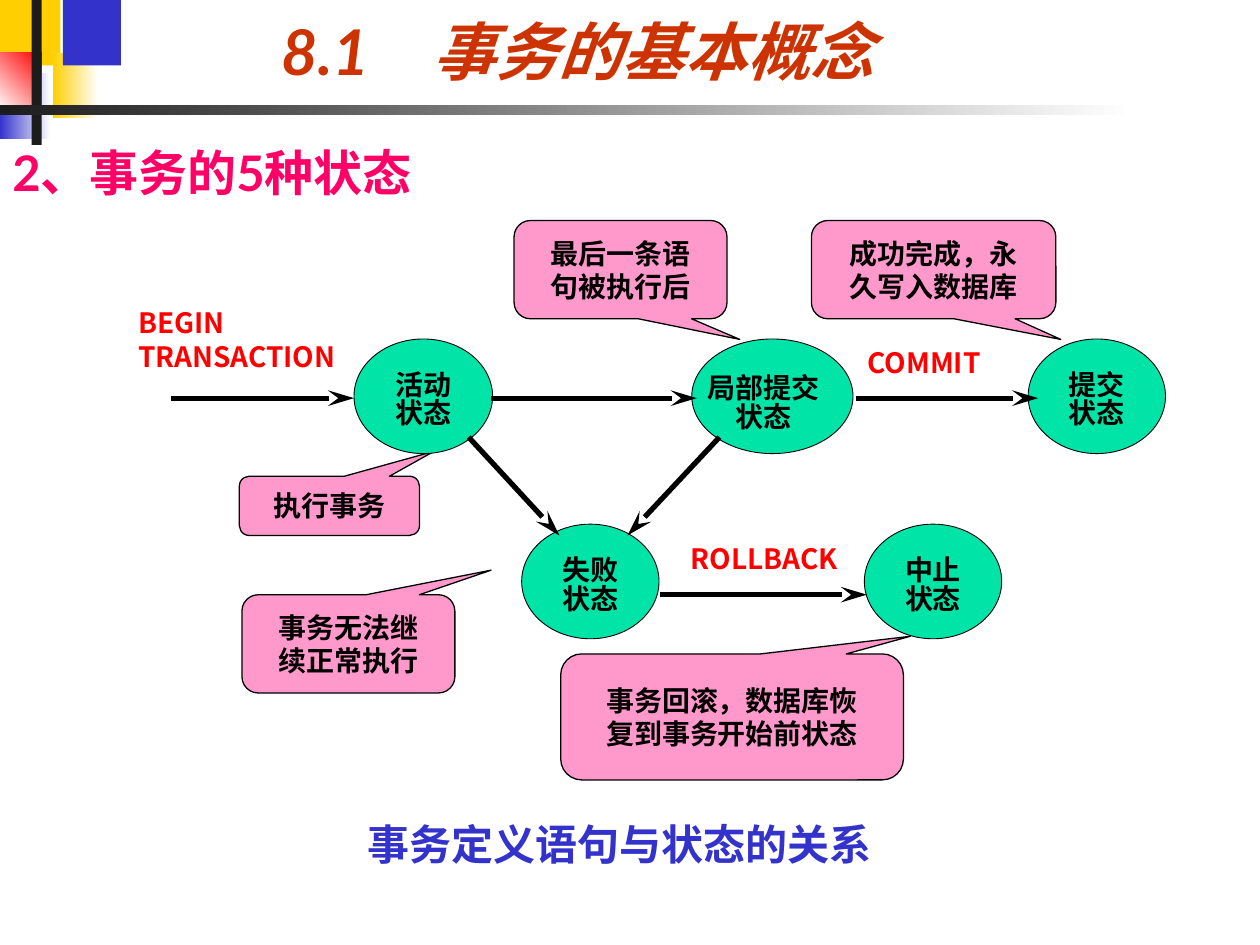
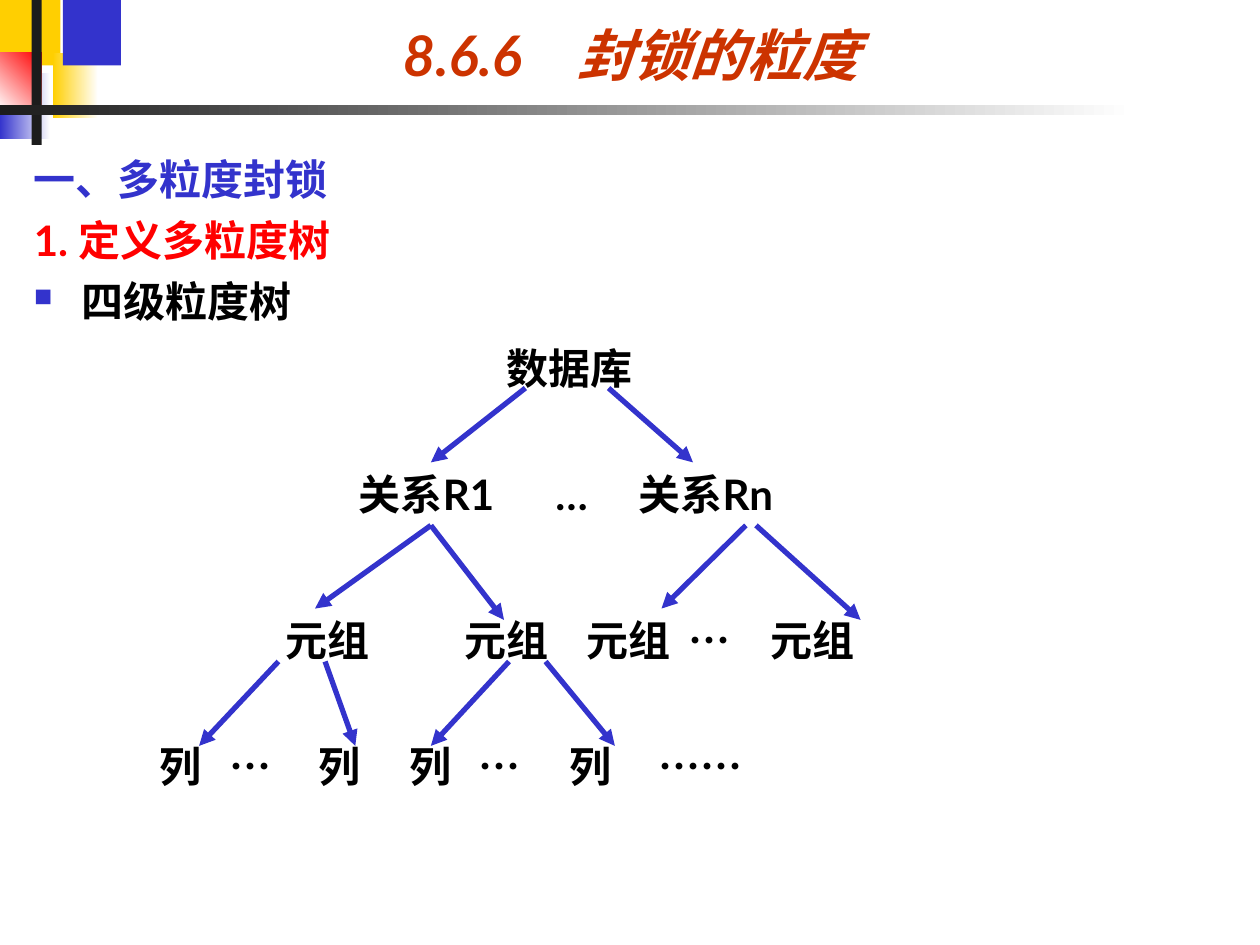
from lxml import etree
from pptx import Presentation
from pptx.dml.color import RGBColor
from pptx.enum.shapes import MSO_CONNECTOR, MSO_SHAPE
from pptx.enum.text import MSO_ANCHOR, PP_ALIGN
from pptx.oxml.ns import qn
from pptx.util import Inches, Pt

COLORS = {
    "yellow": "FFCF01", "blue": "3333CC", "red": "FF0000", "dark": "1C1C1C",
    "white": "FFFFFF", "black": "000000", "title": "CC3300",
    "heading": "FF0066", "callout": "FF99CC", "state": "00E4A8",
}
RGB = {name: RGBColor.from_string(value) for name, value in COLORS.items()}
LATO, NOTO = "Lato", "Noto Sans CJK SC"


def write(frame, lines, size, color, font=NOTO, align=PP_ALIGN.LEFT, pitch=1.2):
    """Fill a text frame with bold lines, one paragraph each."""
    for i, line in enumerate(lines):
        paragraph = frame.paragraphs[0] if i == 0 else frame.add_paragraph()
        paragraph.alignment = align
        paragraph.line_spacing = Pt(round(size * pitch, 1))
        run = paragraph.add_run()
        run.text = line
        run.font.name, run.font.size, run.font.bold = font, Pt(size), True
        run.font.color.rgb = RGB[color]


def draw_arrow(slide, start, end, color, head, length):
    """Draw a 3 pt line with an arrowhead at its end."""
    arrow = slide.shapes.add_connector(
        MSO_CONNECTOR.STRAIGHT, *map(Inches, start + end))
    arrow.line.color.rgb = RGB[color]
    arrow.line.width = Pt(3)
    etree.SubElement(arrow.line._get_or_add_ln(), qn("a:tailEnd"),
                     type=head, w="med", len=length)
    etree.SubElement(arrow._element.spPr, qn("a:effectLst"))


prs = Presentation()
prs.slide_width, prs.slide_height = Inches(10), Inches(7.5)

# Shared corner blocks and rule: place, colours, gradient angle
BANDS = [
    ((0, 0, 0.48, 0.52), ["yellow"], 0),
    ((0.42, 0.42, 0.36, 0.52), ["yellow", "white"], 0),
    ((0.5, 0, 0.46, 0.52), ["blue"], 0),
    ((0, 0.58, 0.4, 0.52), ["blue", "white"], 0),
    ((0, 0.42, 0.33, 0.46), ["white", "red"], 45),
    ((0.25, 0, 0.08, 1.15), ["dark"], 0),
    ((0, 0.83, 9, 0.08), ["dark", "white"], 0),
]
TITLES = [("8.1 事务的基本概念", 6.82, 36), ("8.6.6 封锁的粒度", 7.67, 32)]

slides = []
for heading, width, size in TITLES:
    slide = prs.slides.add_slide(prs.slide_layouts[5])
    slides.append(slide)
    for place, colors, angle in BANDS:
        band = slide.shapes.add_shape(MSO_SHAPE.RECTANGLE, *map(Inches, place))
        band.shadow.inherit = False
        band.line.fill.background()
        if len(colors) == 1:
            band.fill.solid()
            band.fill.fore_color.rgb = RGB[colors[0]]
        else:
            band.fill.gradient()
            band.fill.gradient_angle = angle
            for stop, color in zip(band.fill.gradient_stops, colors):
                stop.color.rgb = RGB[color]
    title = slide.shapes.title
    title.left, title.top = Inches(1.17), Inches(0)
    title.width, title.height = Inches(width), Inches(0.75)
    title.text_frame.vertical_anchor = MSO_ANCHOR.BOTTOM
    write(title.text_frame, [heading.replace(" ", "　")], size, "title", LATO,
          PP_ALIGN.CENTER)
    title.text_frame.paragraphs[0].runs[0].font.italic = True

states_slide, tree_slide = slides

# Transaction states: section heading, labels and caption
LABELS = [
    ((0, 1.08, 10, 0.67), "2、事务的5种状态", 28, "heading", LATO, PP_ALIGN.LEFT),
    ((5.16, 4.25, 1.81, 0.37), "ROLLBACK", 16, "red", NOTO, PP_ALIGN.CENTER),
    ((6.43, 2.69, 1.81, 0.37), "COMMIT", 16, "red", NOTO, PP_ALIGN.CENTER),
    ((1, 2.38, 1.99, 0.64), "BEGIN TRANSACTION", 16, "red", NOTO, PP_ALIGN.LEFT),
    ((2.82, 6.45, 5.43, 0.47), "事务定义语句与状态的关系", 24, "blue", NOTO,
     PP_ALIGN.LEFT),
]
for place, text, size, color, font, align in LABELS:
    label = states_slide.shapes.add_textbox(*map(Inches, place))
    label.text_frame.word_wrap = True
    write(label.text_frame, [text], size, color, font, align)

# Callouts: place, pointer tip, lines
CALLOUTS = [
    ((1.9, 3.78, 1.43, 0.47), (0.58, -0.92), ["执行事务"]),
    ((1.92, 4.72, 1.69, 0.78), (0.67, -0.75), ["事务无法继", "续正常执行"]),
    ((4.45, 5.19, 2.72, 1), (0.52, -0.64),
     ["事务回滚，数据库恢", "复到事务开始前状态"]),
    ((4.08, 1.75, 1.69, 0.78), (0.56, 0.71), ["最后一条语", "句被执行后"]),
    ((6.44, 1.75, 1.94, 0.78), (0.52, 0.71), ["成功完成，永", "久写入数据库"]),
]
for place, tip, lines in CALLOUTS:
    callout = states_slide.shapes.add_shape(
        MSO_SHAPE.ROUNDED_RECTANGULAR_CALLOUT, *map(Inches, place))
    callout.adjustments[0], callout.adjustments[1] = tip
    callout.shadow.inherit = False
    callout.fill.solid()
    callout.fill.fore_color.rgb = RGB["callout"]
    callout.line.color.rgb = RGB["black"]
    callout.line.width = Pt(0.75)
    callout.text_frame.word_wrap = False
    callout.text_frame.vertical_anchor = MSO_ANCHOR.MIDDLE
    write(callout.text_frame, lines, 16, "black", align=PP_ALIGN.CENTER)

# States: left, top, width, name, right and top insets
STATES = [
    (5.49, 2.69, 1.28, "局部提交", 0.14, 0.13),
    (2.81, 2.69, 1.1, "活动", 0, 0.07),
    (4.14, 4.16, 1.09, "失败", 0, 0.07),
    (6.86, 4.16, 1.09, "中止", 0, 0.07),
    (8.16, 2.69, 1.09, "提交", 0, 0.07),
]
for left, top, width, name, inset_right, inset_top in STATES:
    state = states_slide.shapes.add_shape(
        MSO_SHAPE.OVAL, *map(Inches, (left, top, width, 0.91)))
    state.shadow.inherit = False
    state.fill.solid()
    state.fill.fore_color.rgb = RGB["state"]
    state.line.color.rgb = RGB["black"]
    state.line.width = Pt(0.5)
    frame = state.text_frame
    frame.word_wrap = False
    frame.vertical_anchor = MSO_ANCHOR.MIDDLE
    frame.margin_left = frame.margin_bottom = 0
    frame.margin_right, frame.margin_top = Inches(inset_right), Inches(inset_top)
    write(frame, [name, "状态"], 16, "black", align=PP_ALIGN.CENTER, pitch=1.03)

# Transitions between states
TRANSITIONS = [
    ((3.9, 3.16), (5.53, 3.16)), ((1.36, 3.16), (2.81, 3.16)),
    ((6.79, 3.16), (8.24, 3.16)), ((3.72, 3.47), (4.44, 4.25)),
    ((5.71, 3.47), (4.98, 4.25)), ((5.24, 4.72), (6.88, 4.72)),
]
for start, end in TRANSITIONS:
    draw_arrow(states_slide, start, end, "black", "stealth", "lg")

# Granularity tree: outline
outline = tree_slide.shapes.add_textbox(
    *map(Inches, (0.17, 1.17, 4.58, 1.75))).text_frame
outline.word_wrap = True
write(outline, ["一、多粒度封锁", "1. 定义多粒度树", "四级粒度树"], 24, "black", LATO)
for paragraph, color in zip(outline.paragraphs, ["blue", "red", "black"]):
    paragraph.runs[0].font.color.rgb = RGB[color]
for paragraph in outline.paragraphs[1:]:
    paragraph.space_before = Pt(6)
bullet = outline.paragraphs[2]._p.get_or_add_pPr()
bullet.set("marL", str(Inches(0.38)))
bullet.set("indent", str(-Inches(0.38)))
bullet_color = etree.SubElement(bullet, qn("a:buClr"))
etree.SubElement(bullet_color, qn("a:srgbClr"), val=COLORS["blue"])
etree.SubElement(bullet, qn("a:buSzPct"), val="60000")
etree.SubElement(bullet, qn("a:buChar"), char="■")

# Tree levels: place, nodes, tab stop of each node after the first
LEVELS = [
    ((3.92, 2.67, 1.33), ["数据库"], []),
    ((2.75, 3.67, 4.25), ["关系R1", "…", "关系Rn"], [1.56, 2.22]),
    ((2.17, 4.83, 5.33), ["元组", "元组", "元组", "…", "元组"],
     [1.42, 2.39, 3.2, 3.85]),
    ((1.17, 5.83, 6.33), ["列", "…", "列", "列", "…", "列", "……"],
     [0.55, 1.26, 1.98, 2.53, 3.25, 3.96]),
]
for place, nodes, stops in LEVELS:
    level = tree_slide.shapes.add_textbox(
        *map(Inches, place + (0.5,))).text_frame
    level.word_wrap = True
    write(level, ["\t".join(nodes)], 24, "black", LATO)
    if stops:
        tabs = etree.SubElement(level.paragraphs[0]._p.get_or_add_pPr(),
                                qn("a:tabLst"))
        for stop in stops:
            etree.SubElement(tabs, qn("a:tab"), pos=str(Inches(stop)), algn="l")

# Tree branches: parent point and its child points
BRANCHES = [
    ((4.17, 3.08), [(3.42, 3.67)]), ((4.83, 3.08), [(5.5, 3.67)]),
    ((3.42, 4.17), [(2.5, 4.83), (4, 4.92)]),
    ((5.92, 4.17), [(5.25, 4.83)]), ((6, 4.17), [(6.83, 4.92)]),
    ((2.21, 5.25), [(1.58, 5.92)]), ((2.58, 5.25), [(2.82, 5.92)]),
    ((4.04, 5.25), [(3.42, 5.92)]), ((4.33, 5.25), [(4.88, 5.92)]),
]
for parent, children in BRANCHES:
    for child in children:
        draw_arrow(tree_slide, parent, child, "blue", "triangle", "med")

prs.save("out.pptx")
